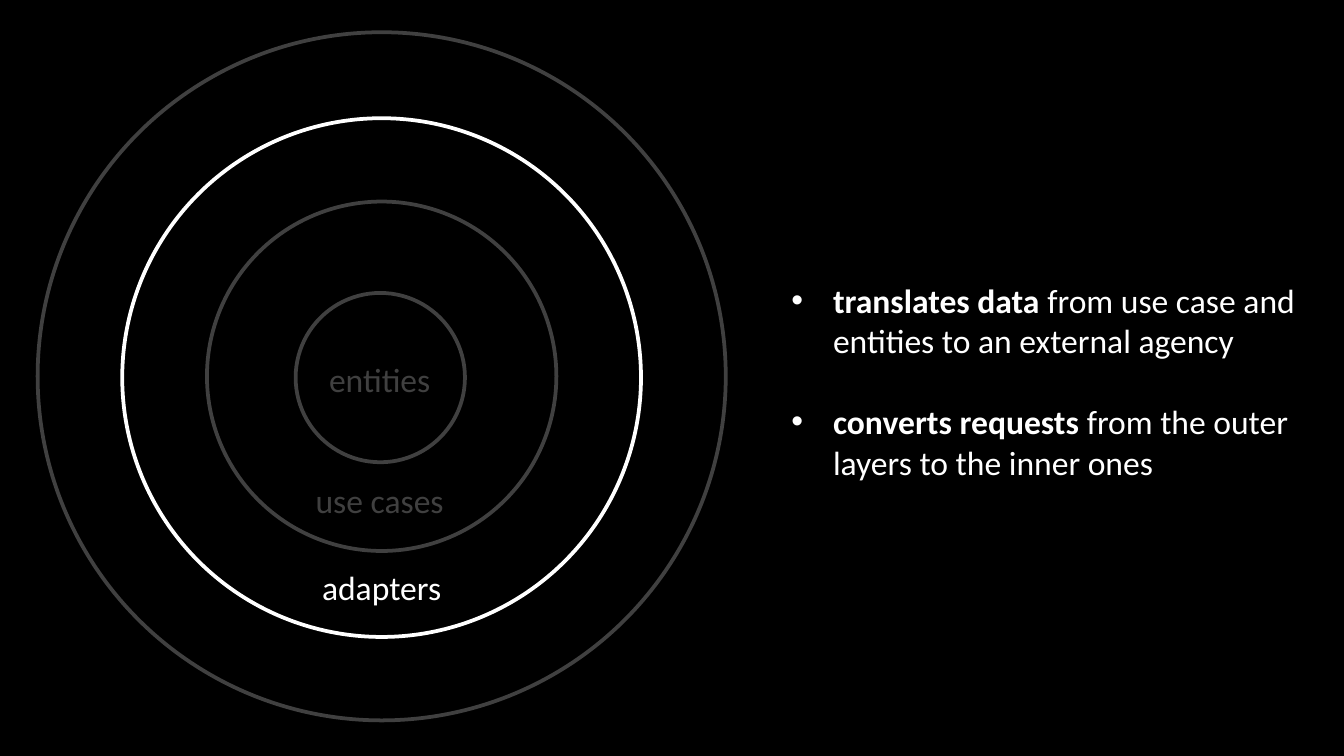
from lxml import etree
from pptx import Presentation
from pptx import util as u
from pptx.dml.color import RGBColor
from pptx.enum import shapes, text
from pptx.oxml.ns import qn

WHITE, GREY, BLACK = "FFFFFF", "404040", "000000"
LEFT, CENTER = text.PP_ALIGN.LEFT, text.PP_ALIGN.CENTER


def rgb(value):
    return RGBColor.from_string(value)


def add_text(p, content, color=WHITE, size=18, bold=False, font="Calibri"):
    r = p.add_run()
    r.text = content
    r.font.name = font
    r.font.size = u.Pt(size)
    r.font.bold = bold
    r.font.color.rgb = rgb(color)
    return r


class Deck:
    """Holds the style and the current slide."""

    line_width = u.Pt(2)
    indent = u.Inches(0.31)
    bullet_gap = u.Pt(22)

    def __init__(self, prs):
        self.s = prs.slides.add_slide(prs.slide_layouts[6])
        fill = self.s.background.fill
        fill.solid()
        fill.fore_color.rgb = rgb(BLACK)

    def ring(self, left, top, diameter, color):
        sp = self.s.shapes.add_shape(
            shapes.MSO_SHAPE.OVAL, u.Inches(left), u.Inches(top),
            u.Inches(diameter), u.Inches(diameter))
        sp.shadow.inherit = False
        sp.fill.background()
        sp.line.color.rgb = rgb(color)
        sp.line.width = self.line_width

    def box(self, left, top, width, height, wrap):
        sp = self.s.shapes.add_textbox(*map(u.Inches, (left, top, width, height)))
        tf = sp.text_frame
        tf.word_wrap = wrap
        tf.auto_size = text.MSO_AUTO_SIZE.SHAPE_TO_FIT_TEXT
        return tf

    def label(self, content, left, top, width, color, align):
        p = self.box(left, top, width, 0.4, wrap=False).paragraphs[0]
        p.alignment = align
        add_text(p, content, color)

    def bullets(self, items, left, top, width, height):
        tf = self.box(left, top, width, height, wrap=True)
        for i, (lead, rest) in enumerate(items):
            p = tf.add_paragraph() if i else tf.paragraphs[0]
            if i:
                p.space_before = self.bullet_gap
            add_text(p, lead, bold=True)
            add_text(p, rest)
            # Hanging bullet
            pPr = p._p.get_or_add_pPr()
            pPr.set("marL", str(self.indent))
            pPr.set("indent", str(-self.indent))
            etree.SubElement(pPr, qn("a:buFont")).set("typeface", "Arial")
            etree.SubElement(pPr, qn("a:buChar")).set("char", "•")


def main():
    # Widescreen 16:9
    prs = Presentation()
    prs.slide_width, prs.slide_height = u.Inches(10), u.Inches(10 * 9 / 16)
    deck = Deck(prs)

    # Responsibilities of the highlighted layer
    deck.bullets([
        ("translates data ", "from use case and entities to an external agency"),
        ("converts requests ", "from the outer layers to the inner ones"),
    ], 5.79, 2.03, 4.02, 1.62)

    # Architecture layers, from the outside in
    for left, top, diameter, color in [
        (0.28, 0.24, 5.12, GREY),
        (0.91, 0.88, 3.86, WHITE),
        (1.54, 1.5, 2.6, GREY),
        (2.2, 2.18, 1.26, GREY),
    ]:
        deck.ring(left, top, diameter, color)

    # Layer names
    for name, left, top, width, color, align in [
        ("entities", 2.35, 2.62, 0.97, GREY, LEFT),
        ("use cases", 2.25, 3.52, 1.17, GREY, LEFT),
        ("adapters", 2.29, 4.17, 1.1, WHITE, CENTER),
    ]:
        deck.label(name, left, top, width, color, align)

    prs.save("out.pptx")


if __name__ == "__main__":
    main()
